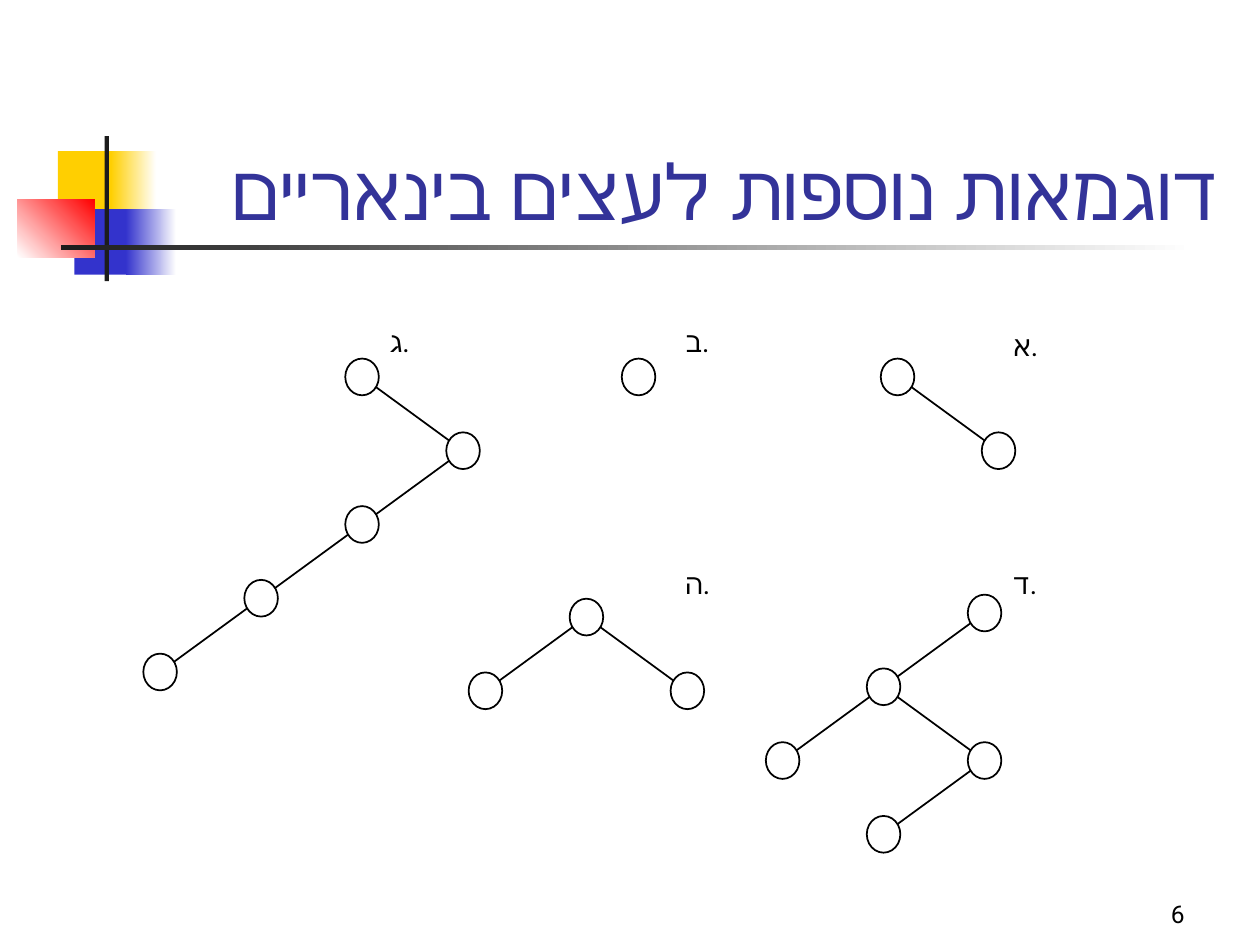
from dataclasses import dataclass

from lxml import etree
from pptx import Presentation
from pptx.dml.color import RGBColor
from pptx.enum.shapes import MSO_CONNECTOR, MSO_SHAPE
from pptx.enum.text import MSO_ANCHOR, PP_ALIGN
from pptx.oxml.ns import qn
from pptx.util import Pt

RECTANGLE = MSO_SHAPE.RECTANGLE
OVAL = MSO_SHAPE.OVAL
STRAIGHT = MSO_CONNECTOR.STRAIGHT
TOP, BOTTOM = MSO_ANCHOR.TOP, MSO_ANCHOR.BOTTOM
LEFT, RIGHT = PP_ALIGN.LEFT, PP_ALIGN.RIGHT

FONT = "Roboto"
BLACK, WHITE = "000000", "FFFFFF"
YELLOW, BLUE, RED, CHARCOAL = "FFCF01", "3333CC", "FF0000", "1C1C1C"
TITLE_COLOR = "333399"

NODE_WIDTH, NODE_HEIGHT = 19.2, 21
COLUMN_STEP, ROW_STEP = 57.7, 42.15
LABEL_WIDTH, LABEL_HEIGHT = 25.2, 30.2


@dataclass(frozen=True)
class Block:
    left: float
    top: float
    width: float
    height: float
    colors: tuple[str, ...]
    angle: float = 0


@dataclass(frozen=True)
class Node:
    column: int
    row: int
    parent: int | None = None


@dataclass(frozen=True)
class Tree:
    label: str
    label_left: float
    label_top: float
    root_x: float
    root_y: float
    nodes: tuple[Node, ...]

    def center(self, node: Node) -> tuple[float, float]:
        return (self.root_x + node.column * COLUMN_STEP,
                self.root_y + node.row * ROW_STEP)


BLOCKS = (
    Block(33.1, 86.4, 34.6, 37.4, (YELLOW,)),
    Block(63.4, 86.4, 25.9, 37.4, (YELLOW, WHITE)),
    Block(42.5, 119.5, 33.1, 37.4, (BLUE,)),
    Block(72, 119.5, 28.8, 37.4, (BLUE, WHITE)),
    Block(10.1, 113.8, 43.9, 33.1, (WHITE, RED), 45),
    Block(59.8, 77.8, 2.4, 82.8, (CHARCOAL,)),
    Block(34.6, 140.2, 648, 2.4, (CHARCOAL, WHITE)),
)

ROOT = Node(0, 0)
TREES = (
    Tree("א.", 578.2, 187.2, 512.9, 215.4, (ROOT, Node(1, 1, 0))),
    Tree("ב.", 391, 185, 364.9, 215.4, (ROOT,)),
    Tree("ג.", 221.8, 185, 206.9, 215.4,
         (ROOT, Node(1, 1, 0), Node(0, 2, 1), Node(-1, 3, 2), Node(-2, 4, 3))),
    Tree("ד.", 578.2, 323.3, 562.6, 350.3,
         (ROOT, Node(-1, 1, 0), Node(-2, 2, 1), Node(0, 2, 1), Node(-1, 3, 3))),
    Tree("ה.", 391, 323.3, 335.1, 352.6,
         (ROOT, Node(-1, 1, 0), Node(1, 1, 0))),
)


def color(value: str) -> RGBColor:
    return RGBColor.from_string(value)


def add_text(page, text: str, *, left: float, top: float, width: float,
             height: float, size: float, fill: str = BLACK, align=LEFT,
             anchor=TOP, inset_x: float = 7.2, inset_y: float = 3.6,
             before: float = 0, right_to_left: bool = False) -> None:
    box = page.shapes.add_textbox(Pt(left), Pt(top), Pt(width), Pt(height))
    frame = box.text_frame
    frame.word_wrap = True
    frame.vertical_anchor = anchor
    frame.margin_left = frame.margin_right = Pt(inset_x)
    frame.margin_top = frame.margin_bottom = Pt(inset_y)
    para = frame.paragraphs[0]
    para.alignment = align
    para.space_before = Pt(before)
    if right_to_left:
        para._p.get_or_add_pPr().set("rtl", "1")
    span = para.add_run()
    span.text = text
    span.font.name = FONT
    span.font.size = Pt(size)
    span.font.color.rgb = color(fill)
    etree.SubElement(span.font._element, qn("a:cs"), typeface=FONT)


def add_block(page, block: Block) -> None:
    shape = page.shapes.add_shape(RECTANGLE, Pt(block.left), Pt(block.top),
                                  Pt(block.width), Pt(block.height))
    shape.shadow.inherit = False
    shape.line.fill.background()
    if len(block.colors) == 1:
        shape.fill.solid()
        shape.fill.fore_color.rgb = color(block.colors[0])
        return
    shape.fill.gradient()
    shape.fill.gradient_angle = block.angle
    for stop, value in zip(shape.fill.gradient_stops, block.colors):
        stop.color.rgb = color(value)


def add_edge(page, start: tuple[float, float], end: tuple[float, float]) -> None:
    edge = page.shapes.add_connector(STRAIGHT, Pt(start[0]), Pt(start[1]),
                                     Pt(end[0]), Pt(end[1]))
    edge.line.color.rgb = color(BLACK)
    edge.line.width = Pt(1)
    etree.SubElement(edge._element.spPr, qn("a:effectLst"))


def add_node(page, center: tuple[float, float]) -> None:
    oval = page.shapes.add_shape(
        OVAL, Pt(center[0] - NODE_WIDTH / 2), Pt(center[1] - NODE_HEIGHT / 2),
        Pt(NODE_WIDTH), Pt(NODE_HEIGHT))
    oval.shadow.inherit = False
    oval.fill.solid()
    oval.fill.fore_color.rgb = color(WHITE)
    oval.line.color.rgb = color(BLACK)
    oval.line.width = Pt(1)


def add_tree(page, tree: Tree) -> None:
    centers = [tree.center(node) for node in tree.nodes]
    for node, center in zip(tree.nodes, centers):
        if node.parent is not None:
            add_edge(page, centers[node.parent], center)
    for center in centers:
        add_node(page, center)
    add_text(page, tree.label, left=tree.label_left, top=tree.label_top,
             width=LABEL_WIDTH, height=LABEL_HEIGHT, size=16,
             inset_x=0.7, inset_y=0.7, before=4)


def main() -> None:
    deck = Presentation()
    deck.slide_width, deck.slide_height = Pt(720), Pt(540)
    page = deck.slides.add_slide(deck.slide_layouts[6])
    for block in BLOCKS:
        add_block(page, block)
    add_text(page, "דוגמאות נוספות לעצים בינאריים", left=90.7, top=48.2,
             width=613.4, height=90, size=44, fill=TITLE_COLOR, align=RIGHT,
             anchor=BOTTOM, right_to_left=True)
    add_text(page, "6", left=534.2, top=498.2, width=149.8, height=36,
             size=14, align=RIGHT, anchor=BOTTOM)
    for tree in TREES:
        add_tree(page, tree)
    deck.save("out.pptx")


if __name__ == "__main__":
    main()
